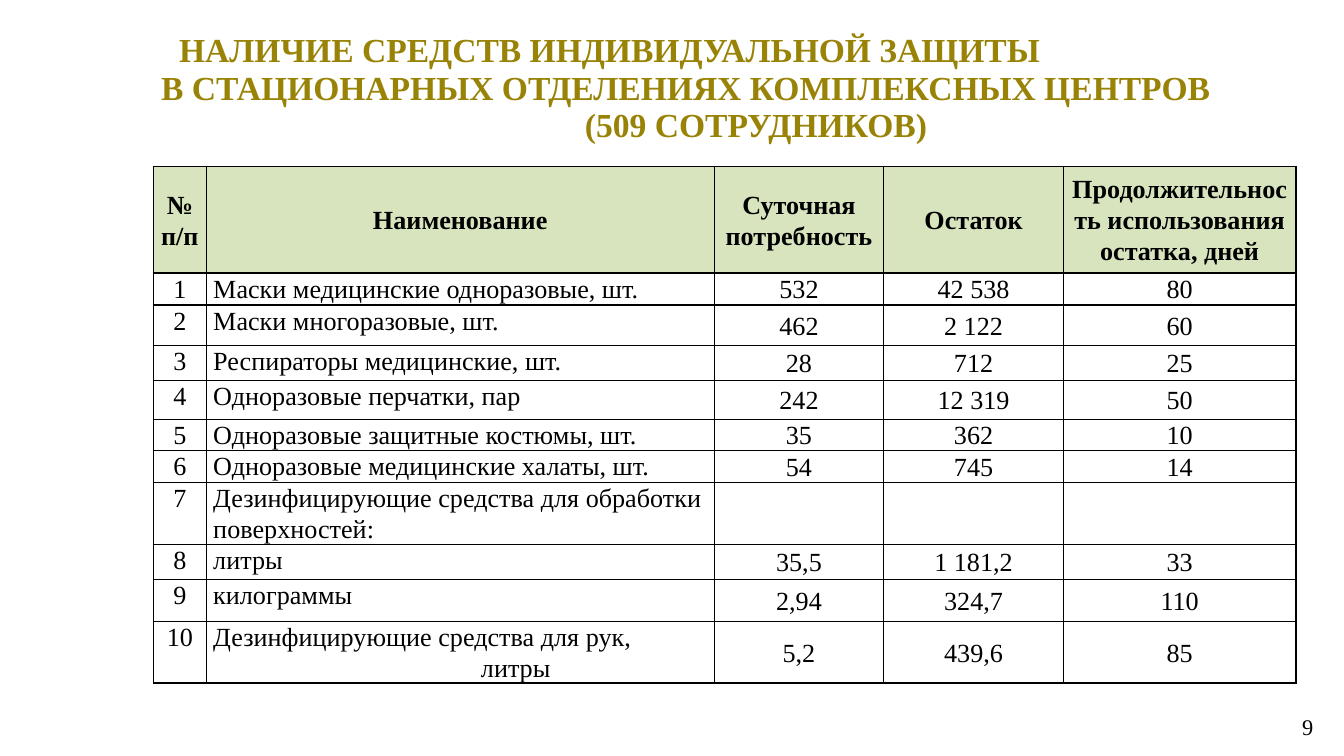
"""Build the slide on protective equipment stocks in care departments."""
from dataclasses import dataclass

from lxml import etree
from pptx import Presentation
from pptx import util as u
from pptx.dml.color import RGBColor
from pptx.enum import text as t
from pptx.oxml.ns import qn
from pptx.table import Table, _Cell
from pptx.text.text import TextFrame

HUES = {"title": "998307", "head": "D7E4BD", "ink": "000000"}
FONT = "Times New Roman"
LEFT, MID, RIGHT = t.PP_ALIGN.LEFT, t.PP_ALIGN.CENTER, t.PP_ALIGN.RIGHT
TOP, CORE = t.MSO_ANCHOR.TOP, t.MSO_ANCHOR.MIDDLE


@dataclass
class Line:
    text: str
    inset: float = 0


@dataclass
class Item:
    high: float
    name: str
    need: str = ""
    stock: str = ""
    days: str = ""
    unit: str = ""


TITLE = [
    Line("НАЛИЧИЕ СРЕДСТВ ИНДИВИДУАЛЬНОЙ ЗАЩИТЫ", 0.41),
    Line("В СТАЦИОНАРНЫХ ОТДЕЛЕНИЯХ КОМПЛЕКСНЫХ ЦЕНТРОВ", 0.07),
    Line("(509 СОТРУДНИКОВ)", 8.08),
]
HEADS = ["№ п/п", "Наименование", "Суточная потребность", "Остаток",
         "Продолжительность использования остатка, дней"]
WIDTHS = [1, 9.6, 3.2, 3.4, 4.39]
HEAD_HIGH = 2.01
ITEMS = [
    Item(0.61, "Маски медицинские одноразовые, шт.", "532", "42 538", "80"),
    Item(0.76, "Маски многоразовые, шт.", "462", "2 122", "60"),
    Item(0.66, "Респираторы медицинские, шт.", "28", "712", "25"),
    Item(0.74, "Одноразовые перчатки, пар", "242", "12 319", "50"),
    Item(0.58, "Одноразовые защитные костюмы, шт.", "35", "362", "10"),
    Item(0.61, "Одноразовые медицинские халаты, шт.", "54", "745", "14"),
    Item(1.17, "Дезинфицирующие средства для обработки поверхностей:"),
    Item(0.66, "литры", "35,5", "1 181,2", "33"),
    Item(0.79, "килограммы", "2,94", "324,7", "110"),
    Item(1.17, "Дезинфицирующие средства для рук,", "5,2", "439,6", "85", "литры"),
]


def put(frame: TextFrame, lines: list[Line], *, size: float = 14, hue: str = "ink",
        bold: bool = False, align=LEFT, anchor=CORE, space=None) -> None:
    """Write lines into a frame with one format."""
    frame.word_wrap = True
    frame.vertical_anchor = anchor
    for i, line in enumerate(lines):
        para = frame.add_paragraph() if i else frame.paragraphs[0]
        para.alignment = align
        para.line_spacing = space
        para.space_before = u.Pt(0)
        if line.inset:
            para._p.get_or_add_pPr().set("marL", str(u.Cm(line.inset)))
        run = para.add_run()
        run.text = line.text
        run.font.name = FONT
        run.font.size = u.Pt(size)
        run.font.bold = bold
        run.font.color.rgb = RGBColor.from_string(HUES[hue])


def edge(cell: _Cell) -> None:
    """Draw a thin line on each side of a cell."""
    props = cell._tc.get_or_add_tcPr()
    for i, side in enumerate(("lnL", "lnR", "lnT", "lnB")):
        line = etree.Element(qn(f"a:{side}"), w=str(u.Pt(1)))
        fill = etree.SubElement(line, qn("a:solidFill"))
        etree.SubElement(fill, qn("a:srgbClr"), val=HUES["ink"])
        props.insert(i, line)


def fill_row(grid: Table, row: int, high: float, cells: list[list[Line]]) -> None:
    """Set the height, text and look of one table row."""
    grid.rows[row].height = u.Cm(high)
    head = row == 0
    for col, lines in enumerate(cells):
        cell = grid.cell(row, col)
        cell.margin_left = cell.margin_right = u.Cm(0.13)
        cell.margin_top = cell.margin_bottom = 0
        cell.vertical_anchor = CORE if head or col > 1 else TOP
        if head:
            cell.fill.solid()
            cell.fill.fore_color.rgb = RGBColor.from_string(HUES["head"])
        else:
            cell.fill.background()
        edge(cell)
        if lines[0].text:
            put(cell.text_frame, lines, bold=head, space=1.07,
                align=LEFT if col == 1 and not head else MID,
                anchor=cell.vertical_anchor)


def main() -> None:
    """Make the slide and save it."""
    deck = Presentation()
    deck.slide_width, deck.slide_height = u.Cm(25.4), u.Cm(14.29)
    slide = deck.slides.add_slide(deck.slide_layouts[5])

    title = slide.shapes.title
    title.left, title.top = u.Cm(2.72), u.Cm(0.48)
    title.width, title.height = u.Cm(22.68), u.Cm(2.51)
    title.text_frame.auto_size = t.MSO_AUTO_SIZE.NONE
    put(title.text_frame, TITLE, size=18, hue="title", bold=True,
        anchor=TOP, space=u.Pt(20))

    high = HEAD_HIGH + sum(item.high for item in ITEMS)
    grid = slide.shapes.add_table(len(ITEMS) + 1, len(HEADS), u.Cm(2.9), u.Cm(3.15),
                                  u.Cm(sum(WIDTHS)), u.Cm(high)).table
    grid.first_row = grid.horz_banding = False
    for col, wide in zip(grid.columns, WIDTHS):
        col.width = u.Cm(wide)
    fill_row(grid, 0, HEAD_HIGH, [[Line(head)] for head in HEADS])
    for row, item in enumerate(ITEMS, 1):
        name = [Line(item.name)]
        if item.unit:
            name.append(Line(item.unit, 5.06))
        tail = [[Line(val)] for val in (item.need, item.stock, item.days)]
        fill_row(grid, row, item.high, [[Line(str(row))], name, *tail])

    page = slide.shapes.add_textbox(u.Cm(19.15), u.Cm(13.36), u.Cm(5.92), u.Cm(0.76))
    put(page.text_frame, [Line("9")], size=12, align=RIGHT)

    deck.save("out.pptx")


if __name__ == "__main__":
    main()
